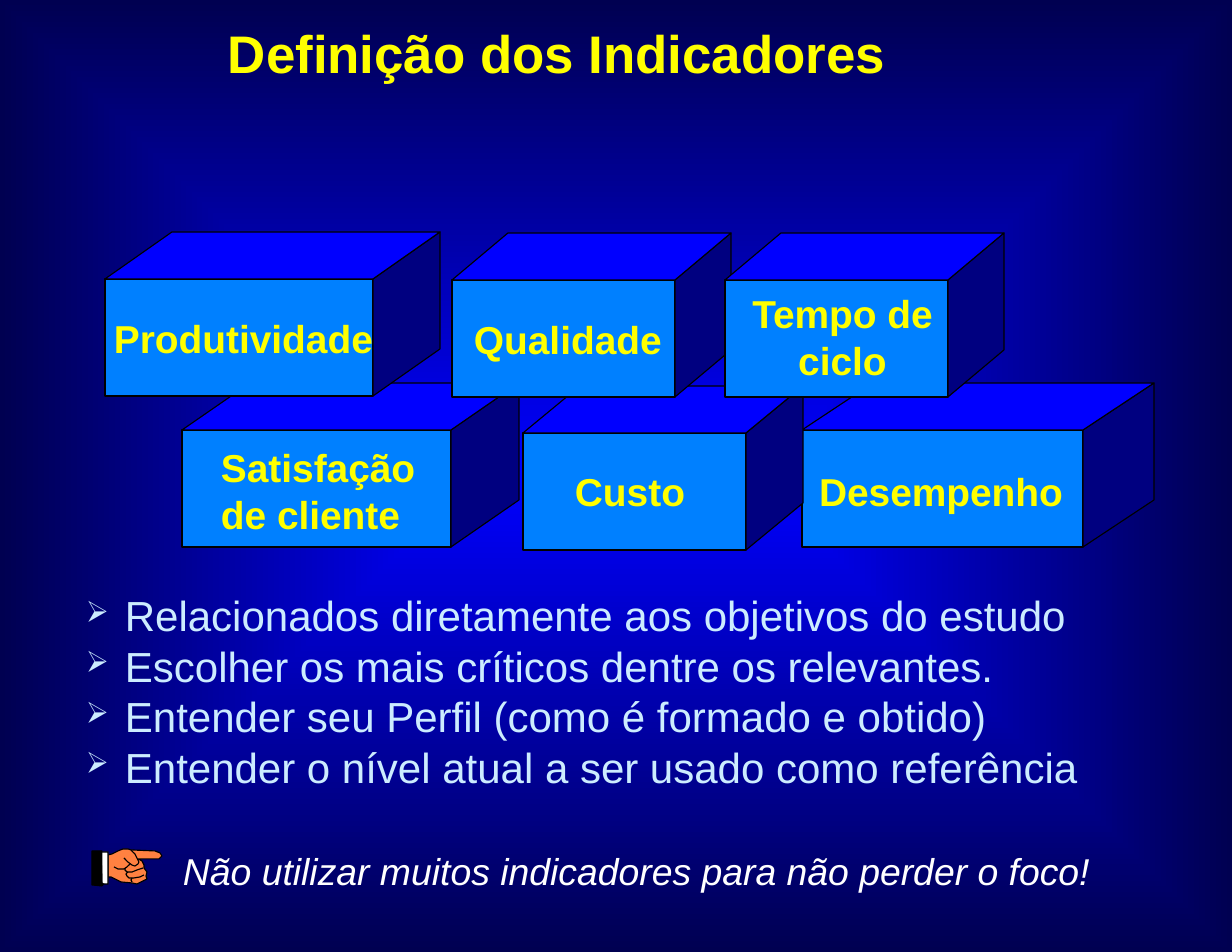
from typing import NamedTuple, Optional

from lxml.etree import SubElement
from pptx import Presentation
from pptx.dml.color import RGBColor
from pptx.enum.text import PP_ALIGN
from pptx.oxml.ns import qn
from pptx.util import Emu, Pt

EMU_PER_PX = 914400 / 112
FONT = "Arial"

BLUE = RGBColor(0x00, 0x00, 0xFF)
MIDNIGHT = RGBColor(0x00, 0x00, 0x51)
NAVY = RGBColor(0x00, 0x00, 0x80)
AZURE = RGBColor(0x00, 0x80, 0xFF)
YELLOW = RGBColor(0xFF, 0xFF, 0x00)
PALE_BLUE = RGBColor(0xCC, 0xEC, 0xFF)
WHITE = RGBColor(0xFF, 0xFF, 0xFF)
BLACK = RGBColor(0x00, 0x00, 0x00)
SKIN = RGBColor(0xFF, 0x81, 0x41)

Point = tuple[int, int]


class Rect(NamedTuple):
    left: int
    top: int
    width: int
    height: int


class Block(NamedTuple):
    """A box in perspective: its front face, its sideways depth and its label."""
    left: int
    top: int
    width: int
    depth: int
    lines: list[str]
    label: Rect
    align: PP_ALIGN = PP_ALIGN.LEFT


class Outline(NamedTuple):
    points: list[Point]
    fill: Optional[RGBColor] = None
    closed: bool = True


BLOCK_HEIGHT = 117
BLOCK_RISE = 47

BLOCKS = [
    Block(802, 430, 281, 71, ["Desempenho"], Rect(819, 468, 269, 48)),
    Block(523, 433, 223, 57, ["Custo"], Rect(575, 468, 122, 48)),
    Block(182, 430, 269, 68, ["Satisfação", "de cliente"], Rect(221, 444, 215, 102)),
    Block(452, 280, 223, 56, ["Qualidade"], Rect(474, 316, 207, 48)),
    Block(725, 280, 223, 56, ["Tempo de", "ciclo"], Rect(741, 290, 203, 102),
          PP_ALIGN.CENTER),
    Block(105, 279, 268, 67, ["Produtividade"], Rect(114, 315, 260, 48)),
]

GUIDELINES = [
    "Relacionados diretamente aos objetivos do estudo",
    "Escolher os mais críticos dentre os relevantes.",
    "Entender seu Perfil (como é formado e obtido)",
    "Entender o nível atual a ser usado como referência",
]

FIST = Outline([
    (108, 855), (112, 854), (118, 851), (123, 849), (128, 849), (131, 850),
    (155, 851), (160, 853), (162, 856), (159, 859), (152, 859), (138, 859),
    (142, 861), (144, 865), (144, 868), (147, 872), (146, 876), (147, 879),
    (143, 881), (137, 884), (132, 883), (121, 882), (115, 879), (111, 877),
    (108, 877)], SKIN)
CREASES = [
    [(131, 850), (135, 854), (138, 860), (139, 862), (138, 864), (135, 866),
     (132, 865), (128, 862), (124, 858)],
    [(114, 867), (118, 869), (124, 869), (127, 867), (130, 864)],
    [(132, 882), (131, 880), (132, 878)],
    [(144, 875), (140, 877), (134, 878), (129, 878), (127, 876), (126, 874),
     (128, 872)],
    [(125, 868), (125, 870), (127, 872), (132, 872), (137, 870), (143, 868)],
]
CUFF = Outline([(101, 852), (108, 852), (108, 884), (102, 884)], WHITE)
SLEEVE = Outline([(92, 851), (102, 851), (102, 884), (104, 884), (102, 886),
                  (92, 885)], BLACK)
POINTING_HAND = [FIST, *(Outline(crease, closed=False) for crease in CREASES),
                 CUFF, SLEEVE]


def px(length: int) -> Emu:
    return Emu(round(length * EMU_PER_PX))


def paint_background(slide) -> None:
    """Gradient that darkens from the centre towards the edges."""
    fill = slide.background.fill
    fill.gradient()
    for stop, color in zip(fill.gradient_stops, (BLUE, MIDNIGHT)):
        stop.color.rgb = color
    gradient = next(slide.element.iter(qn("a:gradFill")))
    gradient.remove(gradient.find(qn("a:lin")))
    spread = SubElement(gradient, qn("a:path"), path="rect")
    SubElement(spread, qn("a:fillToRect"), l="50000", t="50000", r="50000", b="50000")


def add_bullet(paragraph, color: RGBColor, indent: int) -> None:
    properties = paragraph._p.get_or_add_pPr()
    properties.set("marL", str(px(indent)))
    properties.set("indent", str(-px(indent)))
    bullet_color = SubElement(properties, qn("a:buClr"))
    SubElement(bullet_color, qn("a:srgbClr"), val=str(color))
    SubElement(properties, qn("a:buSzPct"), val="70000")
    SubElement(properties, qn("a:buChar"), char="➢")


def add_text(shapes, lines: list[str], area: Rect, *, size: int, color: RGBColor,
             bold: bool = False, italic: bool = False,
             align: PP_ALIGN = PP_ALIGN.LEFT, spacing: Optional[float] = None,
             bullet_indent: int = 0) -> None:
    frame = shapes.add_textbox(*map(px, area)).text_frame
    frame.word_wrap = True
    frame.margin_left = frame.margin_right = frame.margin_top = frame.margin_bottom = 0
    for index, line in enumerate(lines):
        paragraph = frame.add_paragraph() if index else frame.paragraphs[0]
        if bullet_indent:
            add_bullet(paragraph, color, bullet_indent)
        paragraph.alignment = align
        if spacing:
            paragraph.line_spacing = spacing
        run = paragraph.add_run()
        run.text = line
        run.font.name = FONT
        run.font.size = Pt(size)
        run.font.bold = bold
        run.font.italic = italic
        run.font.color.rgb = color


def draw_outline(shapes, outline: Outline) -> None:
    start, *others = outline.points
    builder = shapes.build_freeform(*start, scale=EMU_PER_PX)
    builder.add_line_segments(others, close=outline.closed)
    shape = builder.convert_to_shape()
    shape.shadow.inherit = False
    if outline.fill is None:
        shape.fill.background()
    else:
        shape.fill.solid()
        shape.fill.fore_color.rgb = outline.fill
    shape.line.color.rgb = BLACK
    shape.line.width = Pt(0.75)


def draw_block(slide, block: Block) -> None:
    left, top = block.left, block.top
    right, bottom = left + block.width, top + BLOCK_HEIGHT
    back_left, back_right = left + block.depth, right + block.depth
    back_top, back_bottom = top - BLOCK_RISE, bottom - BLOCK_RISE
    shapes = slide.shapes.add_group_shape().shapes
    for face in (
        Outline([(left, bottom), (right, bottom), (right, top), (left, top)], AZURE),
        Outline([(right, top), (back_right, back_top), (back_right, back_bottom),
                 (right, bottom)], NAVY),
        Outline([(back_right, back_top), (back_left, back_top), (left, top),
                 (right, top)], BLUE),
    ):
        draw_outline(shapes, face)
    add_text(shapes, block.lines, block.label, size=25, color=YELLOW, bold=True,
             align=block.align)


def main() -> None:
    presentation = Presentation()
    presentation.slide_width, presentation.slide_height = px(1232), px(952)
    slide = presentation.slides.add_slide(presentation.slide_layouts[6])
    paint_background(slide)
    for block in BLOCKS:
        draw_block(slide, block)
    add_text(slide.shapes, ["Definição dos Indicadores"], Rect(228, 28, 790, 64),
             size=34, color=YELLOW, bold=True, spacing=0.9)
    add_text(slide.shapes, GUIDELINES, Rect(86, 590, 1079, 253),
             size=27, color=PALE_BLUE, bullet_indent=39)
    add_text(slide.shapes, ["Não utilizar muitos indicadores para não perder o foco!"],
             Rect(183, 848, 928, 45), size=24, color=WHITE, italic=True)
    hand = slide.shapes.add_group_shape()
    for outline in POINTING_HAND:
        draw_outline(hand.shapes, outline)
    presentation.save("out.pptx")


if __name__ == "__main__":
    main()
